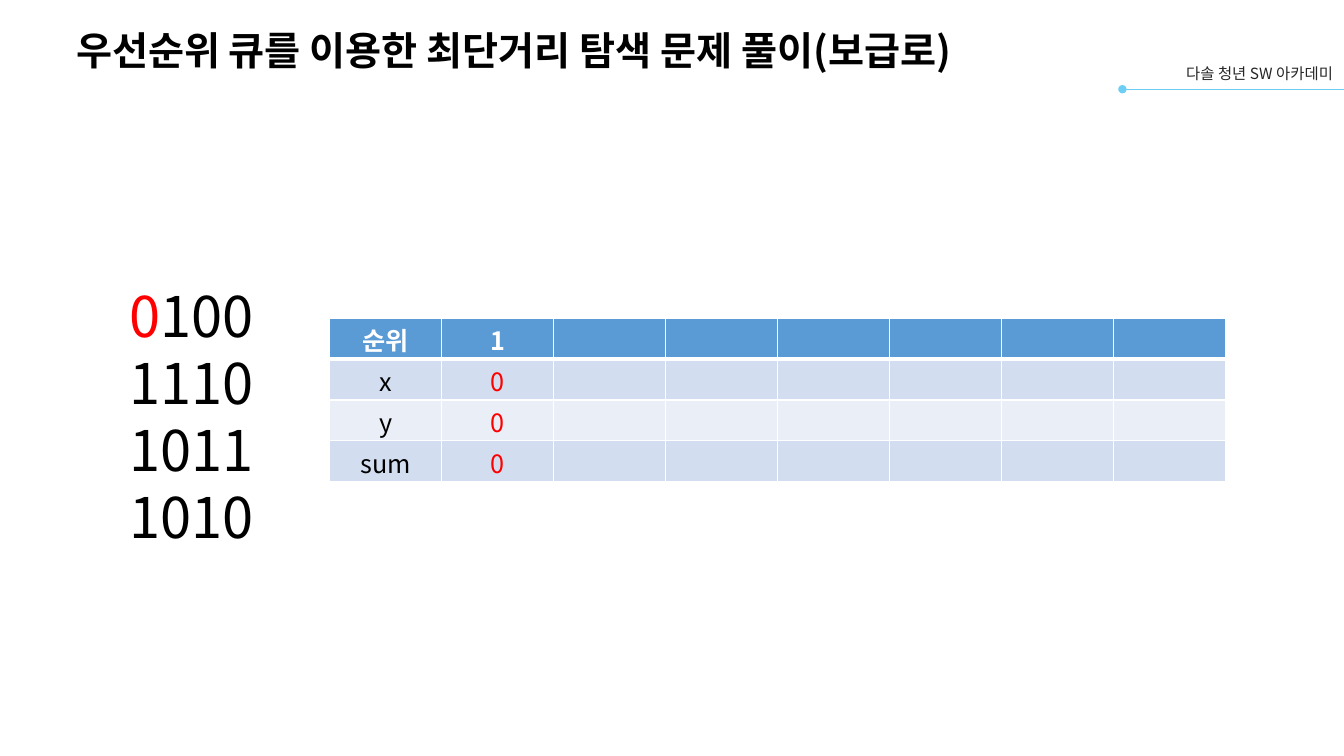
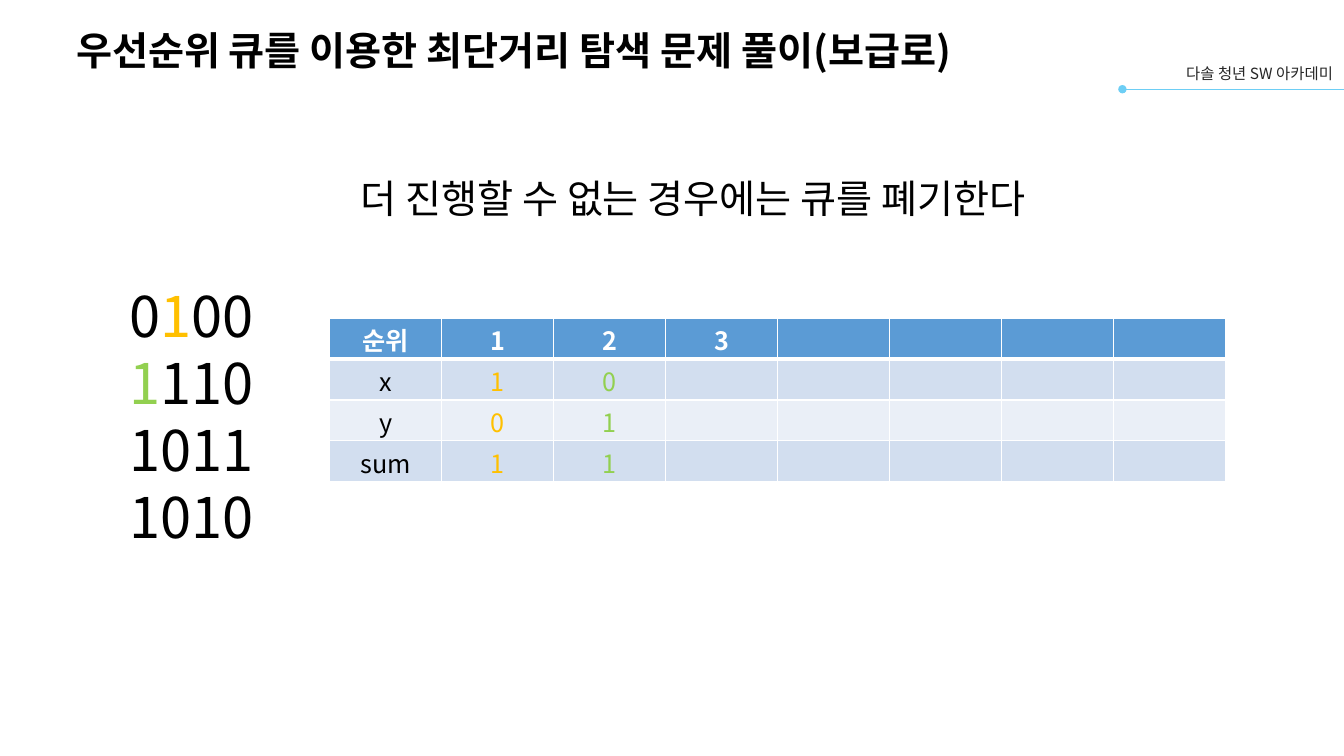
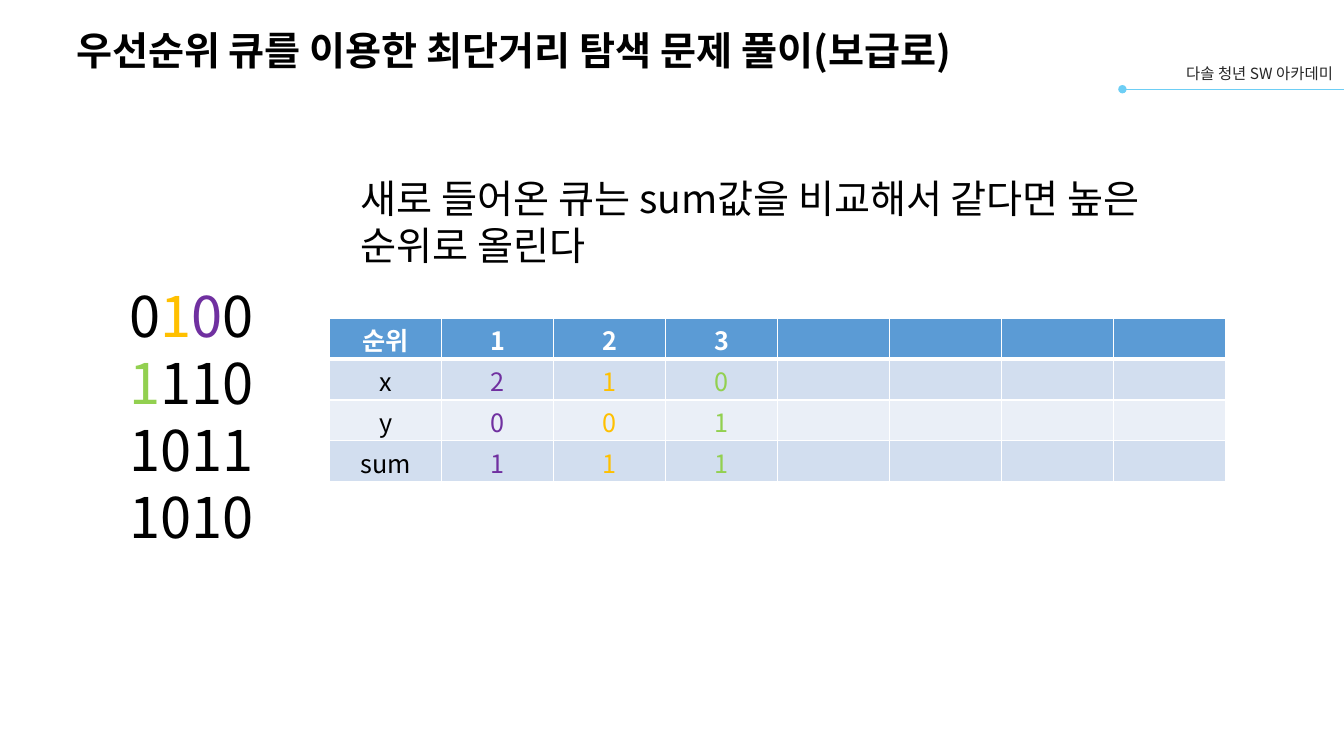
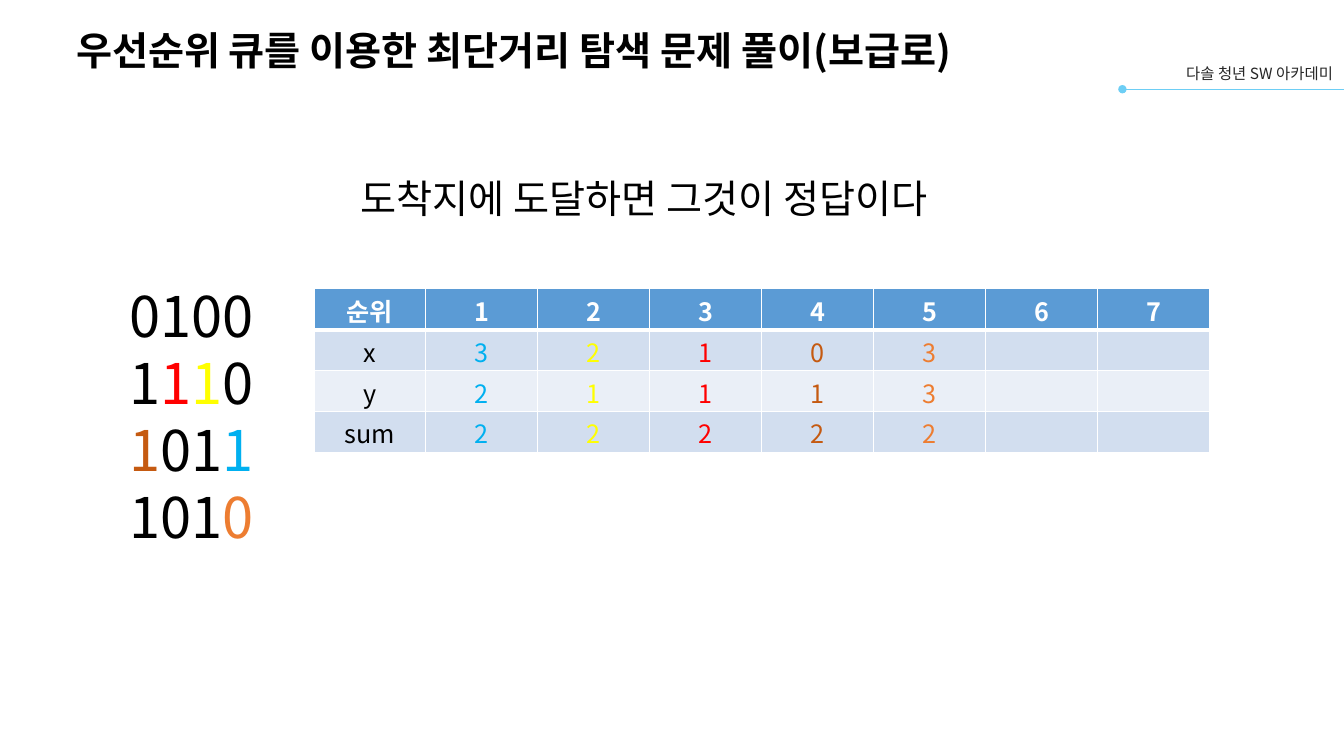
from dataclasses import dataclass
from itertools import groupby

from lxml import etree
from pptx import Presentation
from pptx.dml.color import RGBColor
from pptx.enum import shapes, text
from pptx.oxml import ns
from pptx.util import Emu, Pt

EMU_PER_PX = 9525
ALIGN = text.PP_ALIGN


@dataclass(frozen=True)
class Theme:
    """Colours, type sizes and font shared by all slides."""

    font: str = "Noto Sans CJK KR"
    black: str = "000000"
    white: str = "FFFFFF"
    label: str = "262626"
    accent: str = "6DCEF5"
    header: str = "5B9BD5"
    bands: tuple = ("D2DEEF", "EAEFF7")
    red: str = "FF0000"
    gold: str = "FFC000"
    green: str = "92D050"
    purple: str = "7030A0"
    blue: str = "00B0F0"
    yellow: str = "FFFF00"
    brown: str = "C55A11"
    orange: str = "ED7D31"
    label_size: int = 11
    cell_size: int = 18
    title_size: int = 28
    grid_size: int = 40
    line_height: float = 1.2


@dataclass(frozen=True)
class Entry:
    """One queue entry and the row of the grid it marks."""

    x: int
    y: int
    total: int
    colour: str
    marked_row: int | None = None

    @property
    def row(self):
        """Return the marked row, which is y unless given."""
        return self.y if self.marked_row is None else self.marked_row


THEME = Theme()
TITLE = "우선순위 큐를 이용한 최단거리 탐색 문제 풀이(보급로)"
ACADEMY = "다솔 청년 SW 아카데미"
GRID = ("0100", "1110", "1011", "1010")
COLUMNS = 8


def px(length):
    """Turn pixels into EMU."""
    return Emu(length * EMU_PER_PX)


def add_element(parent, tag, **attributes):
    """Append a drawing element and return it."""
    return etree.SubElement(parent, ns.qn(tag), attributes)


def write(frame, paragraphs, size, colour=THEME.black, bold=False,
          align=ALIGN.LEFT, line_height=THEME.line_height):
    """Fill a text frame; each paragraph is a list of (text, colour) or a string."""
    for index, runs in enumerate(paragraphs):
        paragraph = frame.add_paragraph() if index else frame.paragraphs[0]
        paragraph.alignment = align
        if line_height:
            paragraph.line_spacing = Pt(round(size * line_height, 1))
        for content, tint in [(runs, colour)] if isinstance(runs, str) else runs:
            run = paragraph.add_run()
            run.text = content
            run.font.size = Pt(size)
            run.font.bold = bold
            run.font.color.rgb = RGBColor.from_string(tint)
            run.font.name = THEME.font
            add_element(run.font._element, "a:ea", typeface=THEME.font)


class Deck:
    """Holds the presentation, its theme and the current slide."""

    def __init__(self, theme):
        """Start a 1280 by 720 px presentation."""
        self.theme = theme
        self.presentation = Presentation()
        self.presentation.slide_width = px(1280)
        self.presentation.slide_height = px(720)
        self.slide = None

    def add_slide(self):
        """Add a slide with the shared title and academy label."""
        self.slide = self.presentation.slides.add_slide(self.presentation.slide_layouts[6])
        self.add_label_line(1069, 85, 211)
        self.add_text((1068, 56, 211, 28), [ACADEMY], self.theme.label_size,
                      colour=self.theme.label, align=ALIGN.RIGHT)
        title = self.add_text((63, 13, 1104, 69), [TITLE], self.theme.title_size,
                              bold=True, line_height=None)
        title.vertical_anchor = text.MSO_ANCHOR.MIDDLE

    def add_label_line(self, left, top, width):
        """Draw the line with a round head under the label."""
        line = self.slide.shapes.add_connector(
            shapes.MSO_CONNECTOR.STRAIGHT, px(left), px(top), px(left + width), px(top))
        line.line.color.rgb = RGBColor.from_string(self.theme.accent)
        line.line.width = Pt(1)
        add_element(line.line._get_or_add_ln(), "a:headEnd", type="oval")
        add_element(line._element.spPr, "a:effectLst")

    def add_text(self, box, paragraphs, size, **style):
        """Add a wrapped text box and return its frame."""
        frame = self.slide.shapes.add_textbox(*map(px, box)).text_frame
        frame.word_wrap = True
        write(frame, paragraphs, size, **style)
        return frame

    def add_grid(self, entries):
        """Write the map with the queued positions coloured."""
        marks = {(entry.row, entry.x): entry.colour for entry in entries}
        lines = []
        for row, digits in enumerate(GRID):
            tinted = [(digit, marks.get((row, column), self.theme.black))
                      for column, digit in enumerate(digits)]
            lines.append([("".join(digit for digit, _ in group), colour)
                          for colour, group in groupby(tinted, key=lambda pair: pair[1])])
        self.add_text((114, 263, 149, 268), lines, self.theme.grid_size)

    def add_queue(self, left, top, ranks, entries):
        """Add the queue table with its ranks and coloured entries."""
        theme = self.theme
        rows = [[("순위", theme.white)] + [(str(rank + 1), theme.white) for rank in range(ranks)]]
        for name, field in (("x", "x"), ("y", "y"), ("sum", "total")):
            rows.append([(name, theme.black)]
                        + [(str(getattr(entry, field)), entry.colour) for entry in entries])
        table = self.slide.shapes.add_table(
            len(rows), COLUMNS, px(left), px(top), px(853), px(156)).table
        for row, values in enumerate(rows):
            for column in range(COLUMNS):
                value = values[column:column + 1]
                self.format_cell(table.cell(row, column), row, value)

    def format_cell(self, cell, row, value):
        """Set the borders, fill and text of one cell."""
        properties = cell._tc.get_or_add_tcPr()
        thick = {0: "a:lnB", 1: "a:lnT"}.get(row)
        for side in ("a:lnL", "a:lnR", "a:lnT", "a:lnB"):
            border = add_element(properties, side, w=str(Pt(3 if side == thick else 1)))
            add_element(add_element(border, "a:solidFill"), "a:srgbClr", val=self.theme.white)
        cell.fill.solid()
        colour = self.theme.bands[(row - 1) % 2] if row else self.theme.header
        cell.fill.fore_color.rgb = RGBColor.from_string(colour)
        cell.margin_top, cell.margin_bottom = px(9), px(0)
        write(cell.text_frame, [value], self.theme.cell_size,
              bold=row == 0, align=ALIGN.CENTER)

    def add_message(self, message):
        """Add the explanation above the table."""
        self.add_text((334, 161, 783, 55), [message], self.theme.title_size)


def main():
    """Build the four steps of the search."""
    theme = THEME
    gold = Entry(1, 0, 1, theme.gold)
    green = Entry(0, 1, 1, theme.green)
    steps = [
        (None, (314, 303), 1, [Entry(0, 0, 0, theme.red)]),
        ("더 진행할 수 없는 경우에는 큐를 폐기한다", (314, 303), 3, [gold, green]),
        ("새로 들어온 큐는 sum값을 비교해서 같다면 높은 순위로 올린다", (314, 303), 3,
         [Entry(2, 0, 1, theme.purple), gold, green]),
        ("도착지에 도달하면 그것이 정답이다", (299, 275), 7,
         [Entry(3, 2, 2, theme.blue), Entry(2, 1, 2, theme.yellow),
          Entry(1, 1, 2, theme.red), Entry(0, 1, 2, theme.brown, marked_row=2),
          Entry(3, 3, 2, theme.orange)]),
    ]
    deck = Deck(theme)
    for message, (left, top), ranks, entries in steps:
        deck.add_slide()
        deck.add_grid(entries)
        deck.add_queue(left, top, ranks, entries)
        if message:
            deck.add_message(message)
    deck.presentation.save("out.pptx")


if __name__ == "__main__":
    main()
